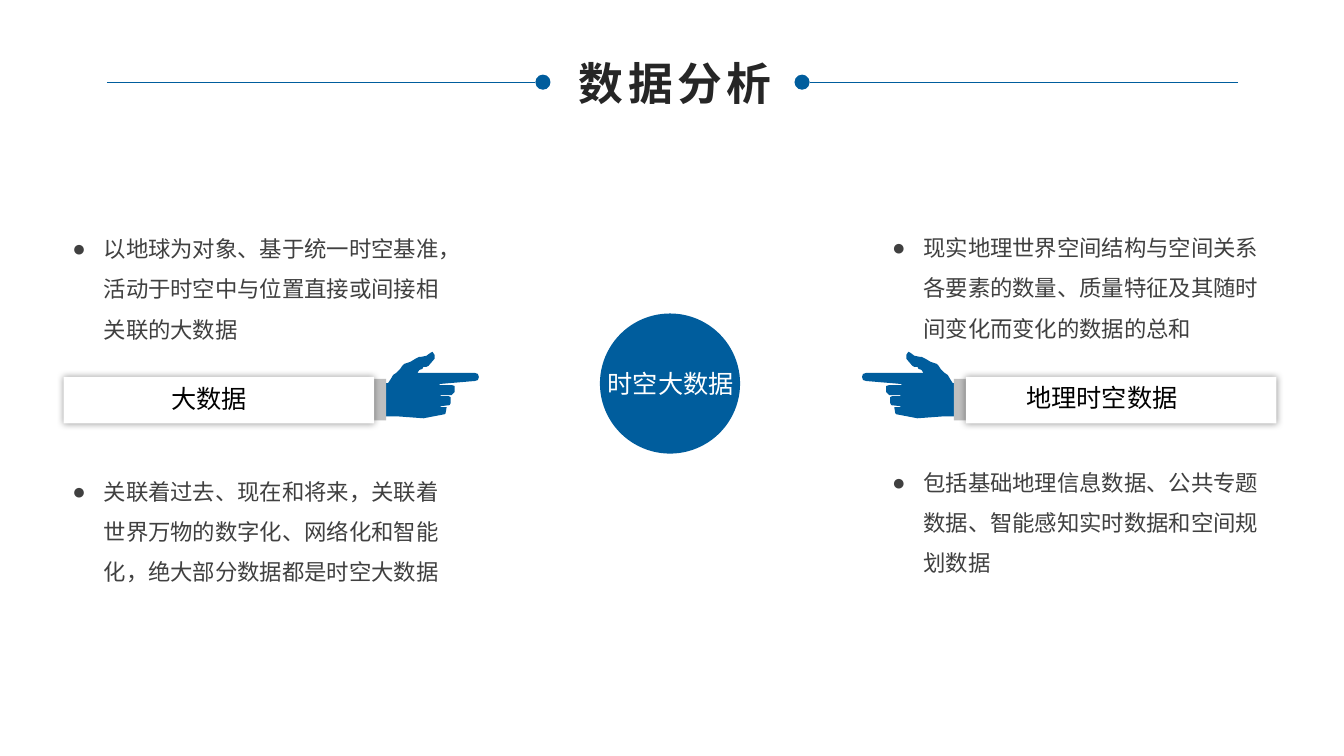
from pptx import Presentation
from pptx.dml.color import RGBColor as RGB
from pptx.enum.lang import MSO_LANGUAGE_ID as LANG
from pptx.enum.shapes import MSO_CONNECTOR as CONN, MSO_SHAPE as SHAPE
from pptx.enum.text import MSO_AUTO_SIZE as SIZE, PP_ALIGN as ALIGN
from pptx.oxml import parse_xml
from pptx.oxml.ns import nsdecls
from pptx.util import Pt

PX = 9144
THEME = {
    "blue": RGB.from_string("005D9D"),
    "gray": RGB.from_string("BFBFBF"),
    "white": RGB.from_string("FFFFFF"),
    "dark": RGB.from_string("262626"),
    "body": RGB.from_string("404040"),
    "black": RGB.from_string("000000"),
    "title": Pt(32),
    "label": Pt(18),
    "note": Pt(16),
    "sans": "Arial",
    "han": "Noto Sans CJK SC",
}

deck = Presentation()
deck.slide_width, deck.slide_height = 1333 * PX, 750 * PX
slide = deck.slides.add_slide(deck.slide_layouts[6])
shapes = slide.shapes


def paint(shape, color):
    shape.shadow.inherit = False
    shape.fill.solid()
    shape.fill.fore_color.rgb = THEME[color]
    shape.line.fill.background()
    return shape


def write(box, text, size, color, face, wrap=True, **form):
    frame = shapes.add_textbox(*[n * PX for n in box]).text_frame
    frame.word_wrap = wrap
    frame.auto_size = SIZE.SHAPE_TO_FIT_TEXT
    para = frame.paragraphs[0]
    run = para.add_run()
    run.text = text
    font = {"size": THEME[size], "name": THEME[face], "language_id": LANG.SIMPLIFIED_CHINESE}
    for key, val in font.items():
        setattr(run.font, key, val)
    run.font.color.rgb = THEME[color]
    for key, val in form.items():
        setattr(para, key, val)
    run.font._element.append(parse_xml(f'<a:ea {nsdecls("a")} typeface="{THEME["han"]}"/>'))
    return para


for start, end, dot in [(106, 531, 531), (1228, 803, 788)]:
    rule = shapes.add_connector(CONN.STRAIGHT, start * PX, 82 * PX, end * PX, 82 * PX)
    rule.line.color.rgb = THEME["blue"]
    rule.line.width = Pt(0.25)
    rule._element.spPr.append(parse_xml(f'<a:effectLst {nsdecls("a")}/>'))
    paint(shapes.add_shape(SHAPE.OVAL, dot * PX, 74 * PX, 15 * PX, 15 * PX), "blue")

title = write((562, 50, 215, 64), "数据分析", "title", "dark", "sans", wrap=False, alignment=ALIGN.CENTER)
title.runs[0].font.bold = True
title.runs[0].font._element.set("spc", "300")

HAND = [
    (0, 31), (6, 31), (8, 28), (11, 23), (14, 21), (18, 17), (20, 14), (22, 12),
    (28, 10), (33, 7), (37, 5), (39, 5), (44, 4), (48, 1), (50, 0), (52, 3),
    (52, 7), (46, 14), (44, 15), (41, 15), (40, 17), (37, 18), (35, 21), (92, 21),
    (95, 22), (96, 25), (95, 28), (92, 29), (57, 32), (57, 33), (69, 33), (72, 34),
    (72, 40), (69, 43), (58, 43), (58, 44), (66, 44), (68, 45), (68, 51), (67, 53),
    (58, 54), (58, 55), (64, 55), (63, 61), (62, 62), (41, 66), (14, 64), (0, 64),
]
SHADE = (
    f'<a:effectLst {nsdecls("a")}><a:outerShdw blurRad="63500" dist="0" dir="0" algn="ctr" rotWithShape="0">'
    '<a:srgbClr val="000000"><a:alpha val="40000"/></a:srgbClr></a:outerShdw></a:effectLst>'
)

for wrist, way, cuff, card in [(379, 1, 371, 63), (951, -1, 946, 958)]:
    dots = [((wrist + way * x) * PX, (349 + y) * PX) for x, y in HAND]
    draw = shapes.build_freeform(*dots[0])
    draw.add_line_segments(dots[1:], close=True)
    paint(draw.convert_to_shape(), "blue")
    paint(shapes.add_shape(SHAPE.RECTANGLE, cuff * PX, 376 * PX, 12 * PX, 41 * PX), "gray")
    plate = paint(shapes.add_shape(SHAPE.RECTANGLE, card * PX, 374 * PX, 308 * PX, 46 * PX), "white")
    props = plate._element.spPr
    props.remove(props[-1])
    props.append(parse_xml(SHADE))

paint(shapes.add_shape(SHAPE.OVAL, 595 * PX, 311 * PX, 139 * PX, 139 * PX), "blue")

NOTES = [
    (62, 215, "以地球为对象、基于统一时空基准，活动于时空中与位置直接或间接相关联的大数据"),
    (62, 456, "关联着过去、现在和将来，关联着世界万物的数字化、网络化和智能化，绝大部分数据都是时空大数据"),
    (875, 214, "现实地理世界空间结构与空间关系各要素的数量、质量特征及其随时间变化而变化的数据的总和"),
    (875, 447, "包括基础地理信息数据、公共专题数据、智能感知实时数据和空间规划数据"),
]
for left, top, text in NOTES:
    note = write((left, top, 401, 131), text, "note", "body", "han", line_spacing=1.5)
    props = note._element.get_or_add_pPr()
    props.set("marL", str(31 * PX))
    props.set("indent", str(-31 * PX))
    for tag in [f'buFont {nsdecls("a")} typeface="{THEME["sans"]}"', f'buChar {nsdecls("a")} char="●"']:
        props.append(parse_xml(f"<a:{tag}/>"))

LABELS = [
    ((593, 360, 183, 40), "时空大数据", "white", "han"),
    ((160, 375, 174, 40), "大数据", "black", "sans"),
    ((1008, 374, 174, 40), "地理时空数据", "black", "sans"),
]
for box, text, color, face in LABELS:
    write(box, text, "label", color, face)

deck.save("out.pptx")
